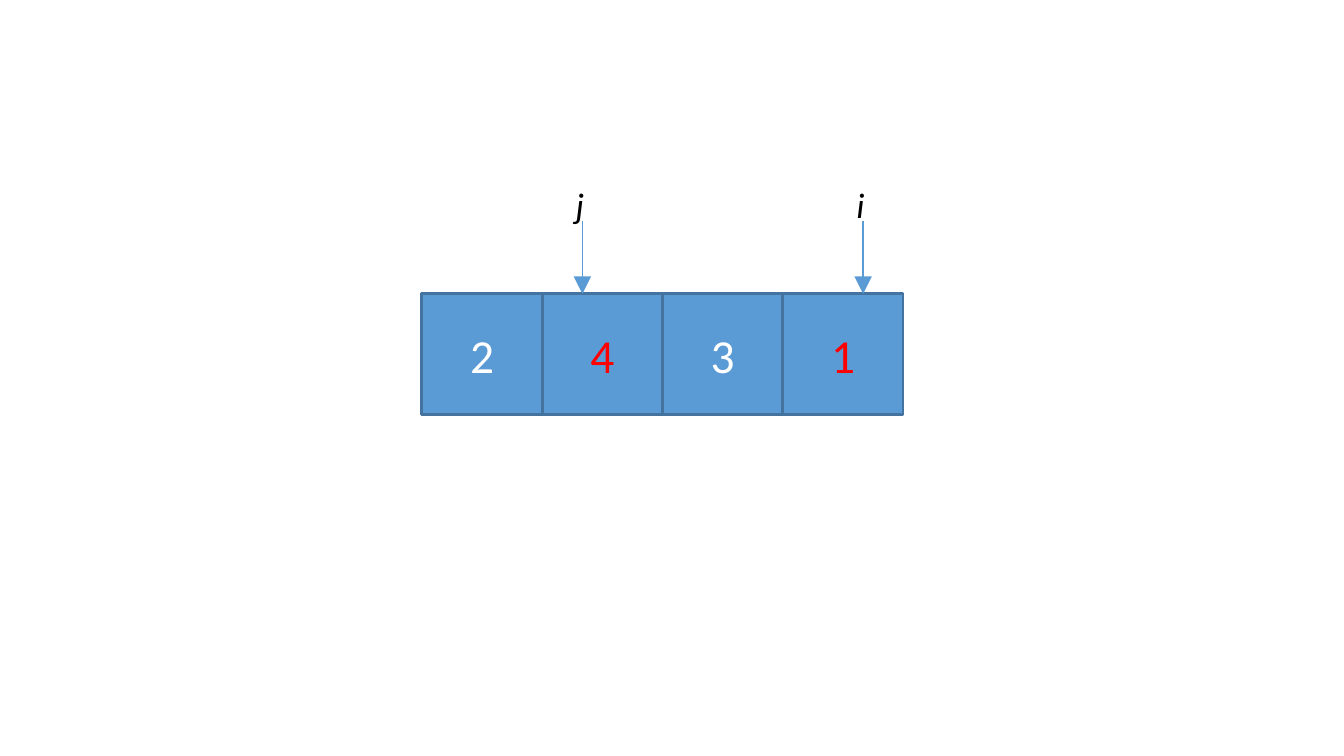
from lxml import etree
from pptx import Presentation
from pptx.dml.color import RGBColor
from pptx.enum.shapes import MSO_CONNECTOR as CONN, MSO_SHAPE as SHAPE
from pptx.enum.text import MSO_ANCHOR, MSO_AUTO_SIZE, PP_ALIGN
from pptx.oxml.ns import qn
from pptx.util import Cm, Inches, Pt

BLUE = RGBColor(0x5B, 0x9B, 0xD5)
EDGE = RGBColor(0x43, 0x73, 0x9E)
WHITE = RGBColor(0xFF, 0xFF, 0xFF)
RED = RGBColor(0xFF, 0x00, 0x00)
BLACK = RGBColor(0x00, 0x00, 0x00)

VALUES = [2, 4, 3, 1]
# Index name: position along the array, in cells
POINTERS = {"i": 3 + 2 / 3, "j": 1 + 1 / 3}
ARRAY_LEFT, ARRAY_TOP, CELL = Pt(142.4), Pt(99.2), Pt(40.6)
ARROW_LENGTH = Inches(0.34)
LABEL_W, LABEL_H, LABEL_RISE = Inches(0.26), Inches(0.3), Inches(0.57)


def write(tf, text, size, color, italic=False):
    tf.text = text
    font = tf.paragraphs[0].runs[0].font
    font.name, font.size, font.italic = "Calibri", Pt(size), italic
    font.color.rgb = color


def add_array(s, left, top, cell):
    """Row of square cells; the cells under a pointer have red values."""
    marked = {int(pos) for pos in POINTERS.values()}
    for col, value in enumerate(VALUES):
        sp = s.shapes.add_shape(SHAPE.RECTANGLE, left + col * cell, top, cell, cell)
        sp.shadow.inherit = False
        sp.fill.solid()
        sp.fill.fore_color.rgb = BLUE
        sp.line.color.rgb = EDGE
        sp.line.width = Pt(1)
        tf = sp.text_frame
        write(tf, str(value), 16, RED if col in marked else WHITE)
        tf.vertical_anchor = MSO_ANCHOR.MIDDLE
        tf.paragraphs[0].alignment = PP_ALIGN.CENTER


def add_pointer(s, name, x, tip):
    """Index name above an arrow that ends at (x, tip)."""
    arrow = s.shapes.add_connector(CONN.STRAIGHT, x, tip - ARROW_LENGTH, x, tip)
    arrow.line.color.rgb = BLUE
    arrow.line.width = Pt(0.5)
    props = arrow.element.spPr
    etree.SubElement(props.find(qn("a:ln")), qn("a:tailEnd"), type="triangle")
    etree.SubElement(props, qn("a:effectLst"))

    label = s.shapes.add_textbox(x - LABEL_W // 2, tip - LABEL_RISE, LABEL_W, LABEL_H)
    tf = label.text_frame
    tf.word_wrap = False
    tf.auto_size = MSO_AUTO_SIZE.SHAPE_TO_FIT_TEXT
    write(tf, name, 12, BLACK, italic=True)


def main():
    prs = Presentation()
    prs.slide_width, prs.slide_height = Cm(16), Cm(9)
    s = prs.slides.add_slide(prs.slide_layouts[6])
    add_array(s, ARRAY_LEFT, ARRAY_TOP, CELL)
    for name, pos in POINTERS.items():
        add_pointer(s, name, ARRAY_LEFT + round(pos * CELL), ARRAY_TOP)
    prs.save("out.pptx")


if __name__ == "__main__":
    main()
